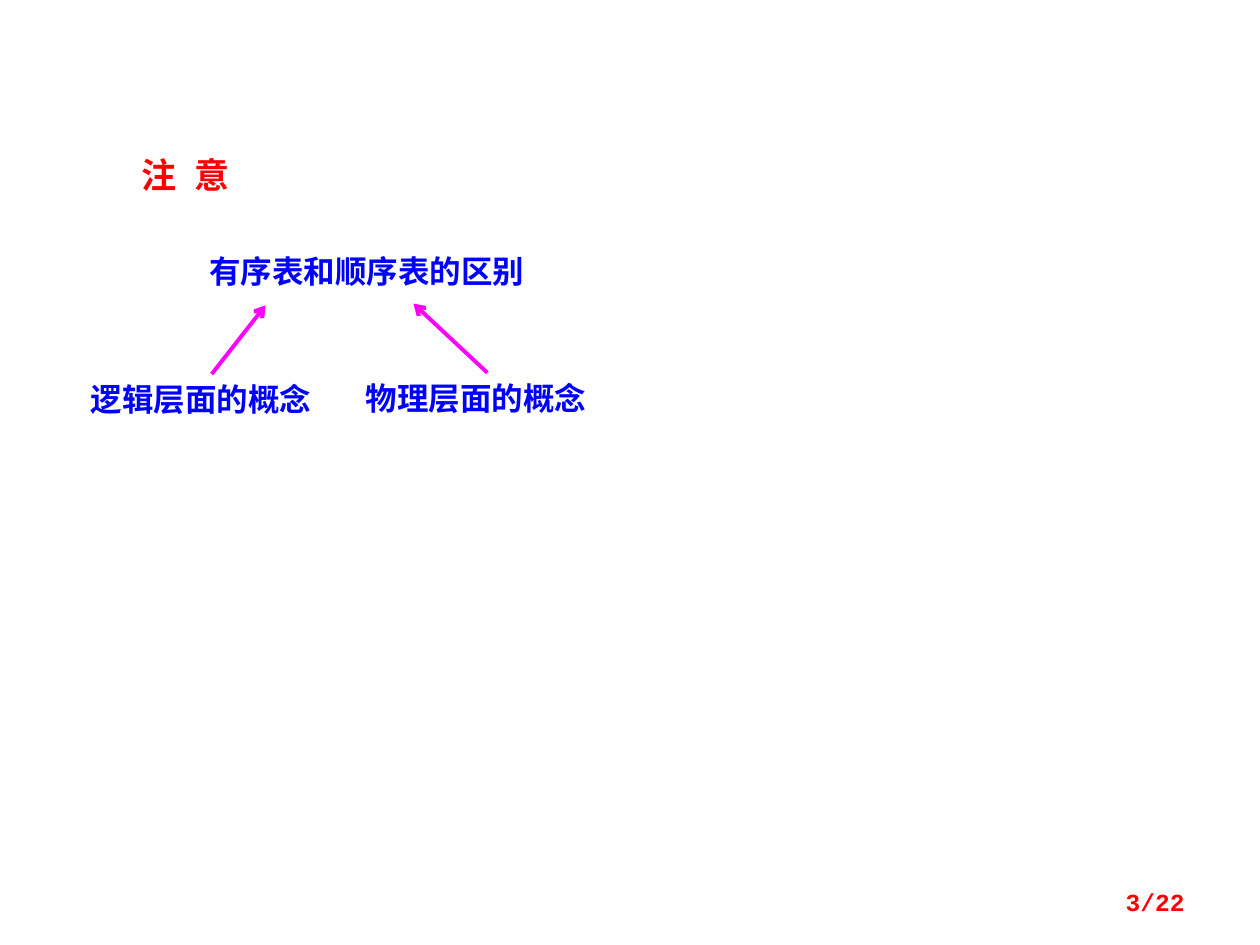
from dataclasses import dataclass

from lxml.etree import SubElement
from pptx import Presentation
from pptx.dml.color import RGBColor
from pptx.enum.shapes import MSO_CONNECTOR
from pptx.enum.text import MSO_ANCHOR, PP_ALIGN
from pptx.oxml.ns import qn
from pptx.slide import Slide
from pptx.util import Pt

COLORS = {"red": "FF0000", "blue": "0000FF", "magenta": "FF00FF"}
CHINESE_FONT = "Noto Sans CJK SC"


@dataclass
class Label:
    text: str
    left: float
    top: float
    width: float
    height: float = 29
    size: float = 18
    color: str = "blue"
    font: str = CHINESE_FONT
    spacing: float = 0
    align: PP_ALIGN = PP_ALIGN.LEFT
    anchor: MSO_ANCHOR = MSO_ANCHOR.TOP


@dataclass
class Arrow:
    start: tuple[float, float]
    end: tuple[float, float]


LABELS = [
    Label("注 意", 73.5, 84, 96, 31.5, size=20, color="red", spacing=3),
    Label("有序表和顺序表的区别", 112.5, 140.5, 248),
    Label("逻辑层面的概念", 44.75, 213.75, 152),
    Label("物理层面的概念", 202, 213, 152),
    Label("3/22", 516, 500.5, 168, size=14, color="red", font="Courier New",
          align=PP_ALIGN.RIGHT, anchor=MSO_ANCHOR.MIDDLE),
]
ARROWS = [
    Arrow((121, 213.75), (151.75, 174.5)),
    Arrow((278.5, 213), (236.25, 173.5)),
]


def add_label(slide: Slide, label: Label) -> None:
    shape = slide.shapes.add_textbox(
        Pt(label.left), Pt(label.top), Pt(label.width), Pt(label.height))
    frame = shape.text_frame
    frame.word_wrap = True
    frame.vertical_anchor = label.anchor
    paragraph = frame.paragraphs[0]
    paragraph.text = label.text
    paragraph.alignment = label.align
    font = paragraph.font
    font.name = label.font
    font.size = Pt(label.size)
    font.bold = True
    font.color.rgb = RGBColor.from_string(COLORS[label.color])
    properties = paragraph._p.pPr.find(qn("a:defRPr"))
    SubElement(properties, qn("a:ea"), typeface=label.font)
    if label.spacing:
        properties.set("spc", str(int(label.spacing * 100)))


def add_arrow(slide: Slide, arrow: Arrow) -> None:
    connector = slide.shapes.add_connector(
        MSO_CONNECTOR.STRAIGHT,
        *(Pt(value) for value in arrow.start + arrow.end))
    connector.line.color.rgb = RGBColor.from_string(COLORS["magenta"])
    connector.line.width = Pt(2.25)
    SubElement(connector.line._get_or_add_ln(), qn("a:tailEnd"), type="arrow")
    SubElement(connector._element.spPr, qn("a:effectLst"))


def main() -> None:
    presentation = Presentation()
    presentation.slide_width = Pt(720)
    presentation.slide_height = Pt(540)
    slide = presentation.slides.add_slide(presentation.slide_layouts[6])
    for label in LABELS:
        add_label(slide, label)
    for arrow in ARROWS:
        add_arrow(slide, arrow)
    presentation.save("out.pptx")


if __name__ == "__main__":
    main()
